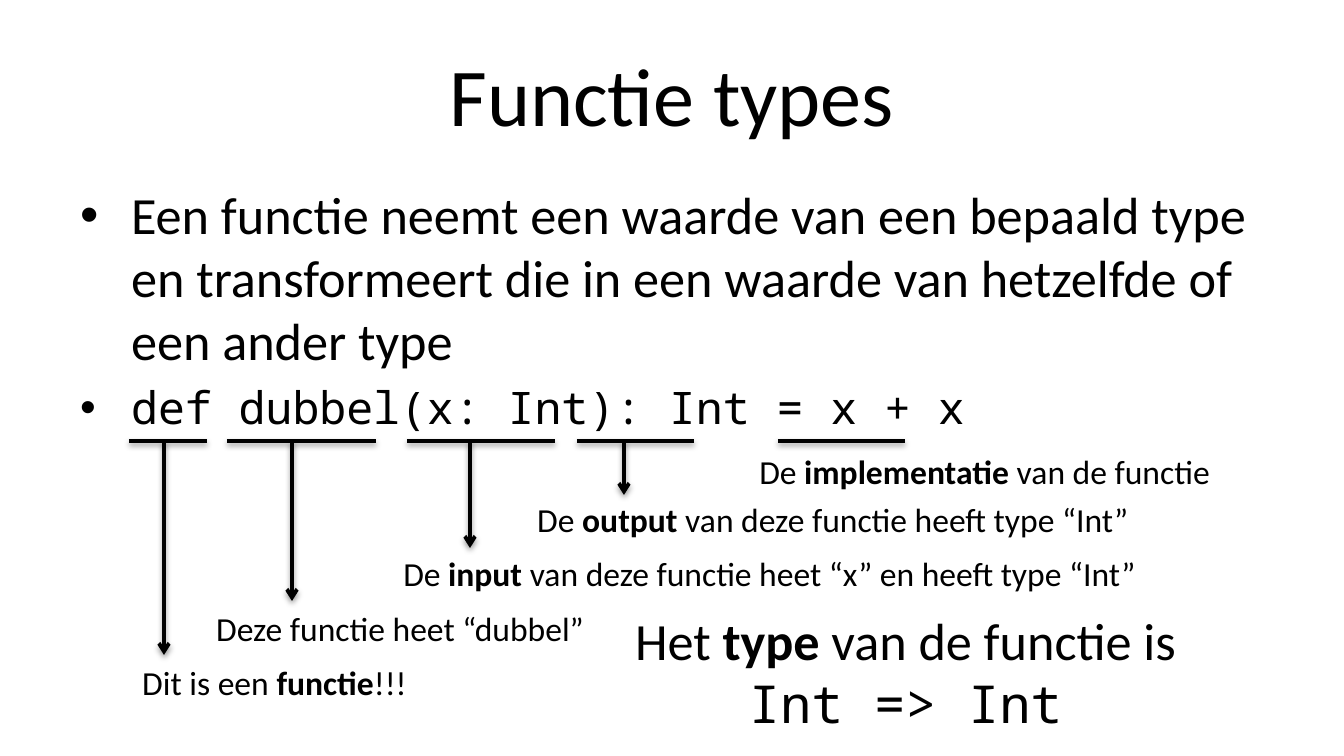
from lxml import etree
from pptx import Presentation
from pptx.dml.color import RGBColor
from pptx.enum.shapes import MSO_CONNECTOR
from pptx.enum.text import MSO_ANCHOR, MSO_AUTO_SIZE, PP_ALIGN
from pptx.oxml.ns import qn
from pptx.util import Emu, Pt

STRAIGHT = MSO_CONNECTOR.STRAIGHT
MIDDLE = MSO_ANCHOR.MIDDLE
GROW = MSO_AUTO_SIZE.SHAPE_TO_FIT_TEXT
CENTER, LEFT = PP_ALIGN.CENTER, PP_ALIGN.LEFT
COLORS = {"ink": "000000", "paper": "FFFFFF"}
SANS, MONO = "Calibri", "Noto Sans Mono"
EMU_PER_INCH, PX_PER_INCH = 914400, 134.4
UNDERLINE_Y = 441
LABEL_HEIGHT = 54
BULLET_INDENT = 51

ANNOTATIONS = [
    ([("Dit is een ", False), ("functie", True), ("!!!", False)],
     (129, 655, 310), (129, 207), (164, 655)),
    ([("Deze functie heet “dubbel”", False)],
     (203, 601, 401), (227, 376), (292, 601)),
    ([("De ", False), ("input", True), (" van deze functie heet “x” en heeft type “Int”", False)],
     (390, 546, 767), (407, 555), (470, 548)),
    ([("De ", False), ("output", True), (" van deze functie heeft type “Int”", False)],
     (524, 492, 624), (577, 694), (624, 495)),
    ([("De ", False), ("implementatie", True), (" van de functie", False)],
     (746, 444, 482), (778, 905), None),
]


def px(length):
    return Emu(round(length * EMU_PER_INCH / PX_PER_INCH))


def add_box(shapes, left, top, width, height, wrap=True, grow=False):
    box = shapes.add_textbox(px(left), px(top), px(width), px(height))
    frame = box.text_frame
    frame.word_wrap = wrap
    if grow:
        frame.auto_size = GROW
    return frame


def fill_para(para, spans, size, font=SANS, align=LEFT):
    para.alignment = align
    for text, bold in spans:
        span = para.add_run()
        span.text = text
        span.font.size = Pt(size)
        span.font.name = font
        span.font.bold = bold
        span.font.color.rgb = RGBColor.from_string(COLORS["ink"])


def add_bullet(para):
    properties = para._p.get_or_add_pPr()
    properties.set("marL", str(px(BULLET_INDENT)))
    properties.set("indent", str(-px(BULLET_INDENT)))
    space = etree.SubElement(properties, qn("a:spcBef"))
    etree.SubElement(space, qn("a:spcPct"), val="20000")
    etree.SubElement(properties, qn("a:buFont"), typeface="Arial")
    etree.SubElement(properties, qn("a:buChar"), char="•")


def add_line(shapes, start, end, arrow=False):
    line = shapes.add_connector(STRAIGHT, *map(px, start + end))
    line.line.width = Pt(2)
    line.line.color.rgb = RGBColor.from_string(COLORS["ink"])
    if arrow:
        etree.SubElement(line.line._get_or_add_ln(), qn("a:tailEnd"), type="arrow")
    effects = etree.SubElement(line._element.spPr, qn("a:effectLst"))
    shadow = etree.SubElement(
        effects, qn("a:outerShdw"), blurRad=str(Pt(3.1)), dist=str(Pt(1.6)),
        dir="5400000", rotWithShape="0")
    color = etree.SubElement(shadow, qn("a:srgbClr"), val=COLORS["ink"])
    etree.SubElement(color, qn("a:alpha"), val="38000")


def add_annotation(page, spans, label, underline, arrow, wrap):
    shapes = page.shapes.add_group_shape().shapes
    frame = add_box(shapes, *label, LABEL_HEIGHT, wrap=wrap, grow=True)
    fill_para(frame.paragraphs[0], spans, 18)
    if arrow:
        add_line(shapes, (arrow[0], UNDERLINE_Y), arrow, arrow=True)
    left, right = underline
    add_line(shapes, (left, UNDERLINE_Y), (right, UNDERLINE_Y))


def add_title(page):
    frame = add_box(page.shapes, 67, 31, 1210, 126)
    frame.vertical_anchor = MIDDLE
    fill_para(frame.paragraphs[0], [("Functie types", False)], 44, align=CENTER)


def add_body(page):
    frame = add_box(page.shapes, 67, 176, 1210, 499)
    explanation = ("Een functie neemt een waarde van een bepaald type en transformeert "
                   "die in een waarde van hetzelfde of een ander type")
    definition = "def dubbel(x: Int): Int = x + x"
    first, second = frame.paragraphs[0], frame.add_paragraph()
    for para, text, size, font in ((first, explanation, 28, SANS),
                                   (second, definition, 24, MONO)):
        fill_para(para, [(text, False)], size, font)
        add_bullet(para)


def add_conclusion(page):
    frame = add_box(page.shapes, 620, 602, 571, 140, wrap=False, grow=True)
    spans = [("Het ", False), ("type", True), (" van de functie is", False)]
    fill_para(frame.paragraphs[0], spans, 28, align=CENTER)
    fill_para(frame.add_paragraph(), [("Int => Int", False)], 28, MONO, CENTER)


def main():
    deck = Presentation()
    deck.slide_width, deck.slide_height = px(1344), px(756)
    page = deck.slides.add_slide(deck.slide_layouts[6])
    page.background.fill.solid()
    page.background.fill.fore_color.rgb = RGBColor.from_string(COLORS["paper"])
    add_title(page)
    add_body(page)
    for index, annotation in enumerate(ANNOTATIONS):
        add_annotation(page, *annotation, wrap=index == 0)
    add_conclusion(page)
    deck.save("out.pptx")


if __name__ == "__main__":
    main()
